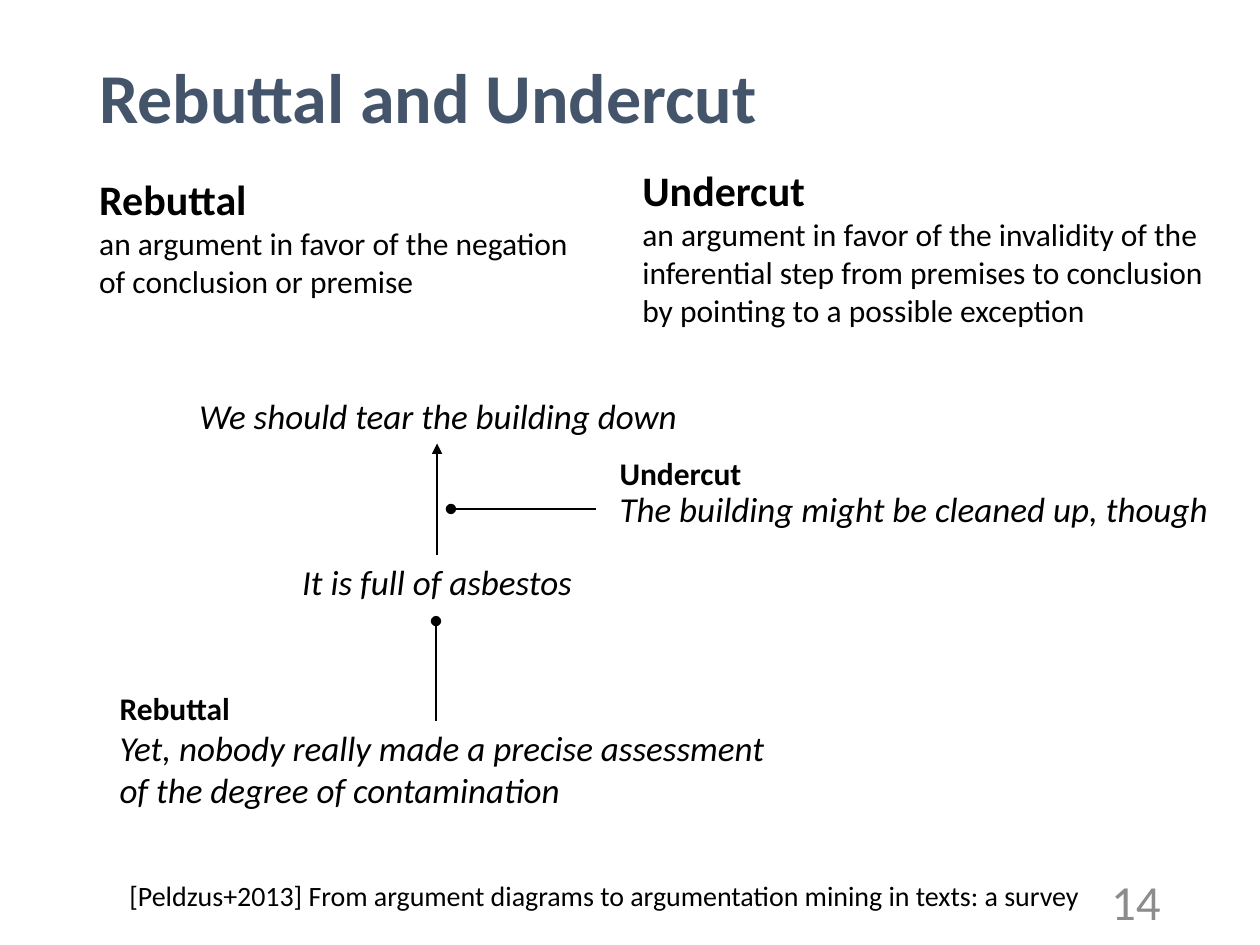
from lxml.etree import SubElement
from pptx import Presentation
from pptx.dml.color import RGBColor
from pptx.enum.shapes import MSO_CONNECTOR as CONN
from pptx.enum.text import MSO_ANCHOR as ANCHOR, PP_ALIGN as ALIGN
from pptx.oxml.ns import qn
from pptx.util import Cm, Pt

BLACK = RGBColor(0x00, 0x00, 0x00)
SLATE = RGBColor(0x44, 0x54, 0x6A)
GRAY = RGBColor(0x8C, 0x8C, 0x8C)
FONT = "Calibri"

# Text styles: size, bold, italic, colour
TITLE = (40, True, False, SLATE)
NUMBER = (28, False, False, GRAY)
TERM = (24, True, False, BLACK)
MEANING = (18, False, False, BLACK)
LABEL = (18, True, False, BLACK)
CLAIM = (20, False, True, BLACK)
SOURCE = (16, False, False, BLACK)

# Box in cm (left, top, width, height), paragraphs (text, style), options
TEXTS = [
    ((1.75, 0.86, 21.89, 2.36), [("Rebuttal and Undercut", TITLE)],
     dict(anchor=ANCHOR.MIDDLE, spacing=0.9)),
    ((17.93, 17.65, 5.72, 1.02), [("14", NUMBER)],
     dict(anchor=ANCHOR.MIDDLE, align=ALIGN.RIGHT)),
    ((1.75, 3.38, 10.21, 2.82),
     [("Rebuttal", TERM),
      ("an argument in favor of the negation of conclusion or premise", MEANING)], {}),
    ((12.7, 3.2, 11.99, 3.58),
     [("Undercut", TERM),
      ("an argument in favor of the invalidity of the inferential step from premises "
       "to conclusion by pointing to a possible exception", MEANING)], {}),
    ((3.73, 7.82, 10.21, 1.12), [("We should tear the building down", CLAIM)],
     dict(align=ALIGN.CENTER, wrap=False)),
    ((5.82, 11.18, 5.99, 1.12), [("It is full of asbestos", CLAIM)],
     dict(align=ALIGN.CENTER, wrap=False)),
    ((12.24, 9.02, 3, 1.02), [("Undercut", LABEL)], dict(wrap=False)),
    ((12.24, 9.7, 12.45, 1.12), [("The building might be cleaned up, though", CLAIM)],
     dict(wrap=False)),
    ((2.16, 13.77, 2.77, 1.02), [("Rebuttal", LABEL)], dict(wrap=False)),
    ((2.16, 14.53, 14.05, 1.96),
     [("Yet, nobody really made a precise assessment of the degree of contamination",
       CLAIM)], {}),
    ((2.36, 17.58, 20.07, 0.94),
     [("[Peldzus+2013] From argument diagrams to argumentation mining in texts: a survey",
       SOURCE)], {}),
]

# Start and end in cm, line end tag, arrowhead
LINKS = [
    ((8.81, 11.18), (8.81, 8.94), "a:tailEnd", "triangle"),
    ((8.79, 12.52), (8.79, 14.53), "a:headEnd", "oval"),
    ((9.09, 10.26), (12.01, 10.26), "a:headEnd", "oval"),
]


def add_text(s, box, paragraphs, anchor=ANCHOR.TOP, align=ALIGN.LEFT,
             spacing=None, wrap=True):
    """Add a text box with one styled run per paragraph."""
    tf = s.shapes.add_textbox(*map(Cm, box)).text_frame
    tf.word_wrap = wrap
    tf.vertical_anchor = anchor
    for i, (text, (size, bold, italic, color)) in enumerate(paragraphs):
        p = tf.paragraphs[0] if i == 0 else tf.add_paragraph()
        p.alignment = align
        p.line_spacing = spacing
        r = p.add_run()
        r.text = text
        r.font.name, r.font.size = FONT, Pt(size)
        r.font.bold, r.font.italic = bold, italic
        r.font.color.rgb = color


def add_link(s, start, end, tag, head):
    """Add a straight black line with one arrowhead."""
    c = s.shapes.add_connector(CONN.STRAIGHT, *map(Cm, start + end))
    c.line.color.rgb = BLACK
    c.line.width = Pt(1.5)
    SubElement(c.line._get_or_add_ln(), qn(tag), type=head)
    SubElement(c._element.spPr, qn("a:effectLst"))


prs = Presentation()
prs.slide_width, prs.slide_height = Cm(25.4), Cm(19.05)
s = prs.slides.add_slide(prs.slide_layouts[6])
for box, paragraphs, options in TEXTS:
    add_text(s, box, paragraphs, **options)
for link in LINKS:
    add_link(s, *link)
prs.save("out.pptx")
